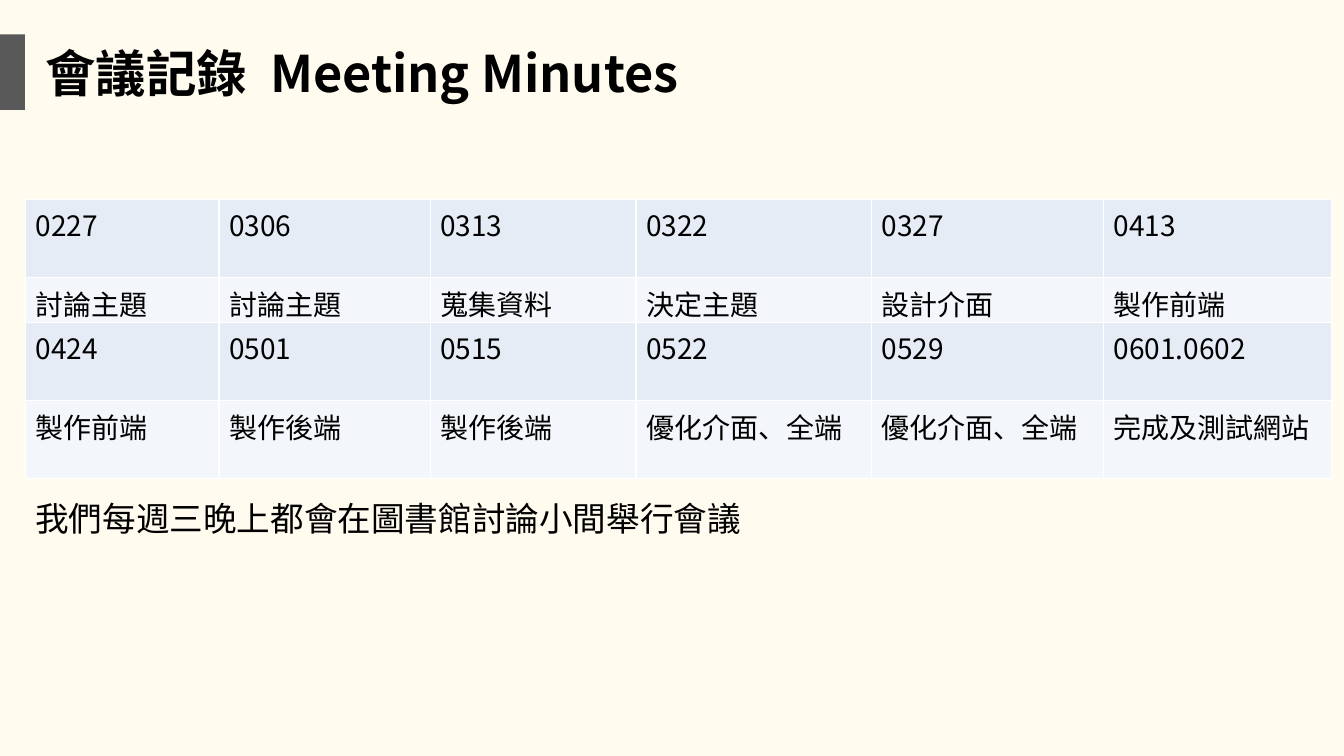
import pptx
import pptx.dml.color
import pptx.enum.shapes
import pptx.enum.text
import pptx.oxml
import pptx.oxml.ns
import pptx.util
from pptx.util import Cm

FONT = "Noto Sans CJK SC"


def color(hex_string):
    return pptx.dml.color.RGBColor.from_string(hex_string)


def write(text_frame, text, size, bold=False):
    paragraph = text_frame.paragraphs[0]
    paragraph.text = text
    font = paragraph.font
    font.name = FONT
    font.size = pptx.util.Pt(size)
    font.bold = bold
    font.color.rgb = color("000000")
    # Chinese characters take the East Asian typeface
    properties = paragraph.runs[0].font._element
    east_asian = pptx.oxml.parse_xml(
        f'<a:ea {pptx.oxml.ns.nsdecls("a")} typeface="{FONT}"/>')
    properties.append(east_asian)
    return paragraph


presentation = pptx.Presentation()
presentation.slide_width = Cm(33.87)
presentation.slide_height = Cm(19.05)
slide = presentation.slides.add_slide(presentation.slide_layouts[6])
slide.background.fill.solid()
slide.background.fill.fore_color.rgb = color("FFFBEF")

# Title with its side bar
bar = slide.shapes.add_shape(
    pptx.enum.shapes.MSO_SHAPE.RECTANGLE, 0, Cm(0.87), Cm(0.63), Cm(1.9))
bar.shadow.inherit = False
bar.fill.solid()
bar.fill.fore_color.rgb = color("595959")
bar.line.fill.background()

title = slide.shapes.add_textbox(Cm(0.9), Cm(0.94), Cm(17.07), Cm(1.8))
title.text_frame.word_wrap = False
title.text_frame.auto_size = pptx.enum.text.MSO_AUTO_SIZE.SHAPE_TO_FIT_TEXT
write(title.text_frame, "會議記錄  Meeting Minutes", 36, bold=True)

# Meeting table: rows of dates alternate with rows of topics
meetings = [
    ["0227", "0306", "0313", "0322", "0327", "0413"],
    ["討論主題", "討論主題", "蒐集資料", "決定主題", "設計介面", "製作前端"],
    ["0424", "0501", "0515", "0522", "0529", "0601.0602"],
    ["製作前端", "製作後端", "製作後端", "優化介面、全端", "優化介面、全端", "完成及測試網站"],
]
column_widths = [4.88, 5.32, 5.19, 5.93, 5.85, 5.75]
row_heights = [1.98, 1.12, 1.98, 1.96]
table = slide.shapes.add_table(
    len(row_heights), len(column_widths), Cm(0.64), Cm(5.02),
    Cm(sum(column_widths)), Cm(sum(row_heights))).table
for column, width in zip(table.columns, column_widths):
    column.width = Cm(width)

for row_index, topics in enumerate(meetings):
    table.rows[row_index].height = Cm(row_heights[row_index])
    is_topic = row_index % 2 == 1
    for column_index, text in enumerate(topics):
        cell = table.cell(row_index, column_index)
        paragraph = write(cell.text_frame, text, 20)
        if is_topic:
            paragraph.alignment = pptx.enum.text.PP_ALIGN.JUSTIFY
            cell.margin_bottom = 0
        # Borders come before the fill in the cell properties
        cell_properties = cell._tc.get_or_add_tcPr()
        for side in ("lnL", "lnR", "lnT", "lnB"):
            cell_properties.append(pptx.oxml.parse_xml(
                f'<a:{side} {pptx.oxml.ns.nsdecls("a")} w="12700"><a:solidFill>'
                f'<a:srgbClr val="FFFFFF"/></a:solidFill></a:{side}>'))
        cell.fill.solid()
        cell.fill.fore_color.rgb = color("F3F6FA" if is_topic else "E5ECF6")

# Note under the table
note = slide.shapes.add_textbox(Cm(0.64), Cm(12.42), Cm(23.01), Cm(1.27))
note.text_frame.word_wrap = True
note.text_frame.auto_size = pptx.enum.text.MSO_AUTO_SIZE.SHAPE_TO_FIT_TEXT
write(note.text_frame, "我們每週三晚上都會在圖書館討論小間舉行會議", 24)

presentation.save("out.pptx")
